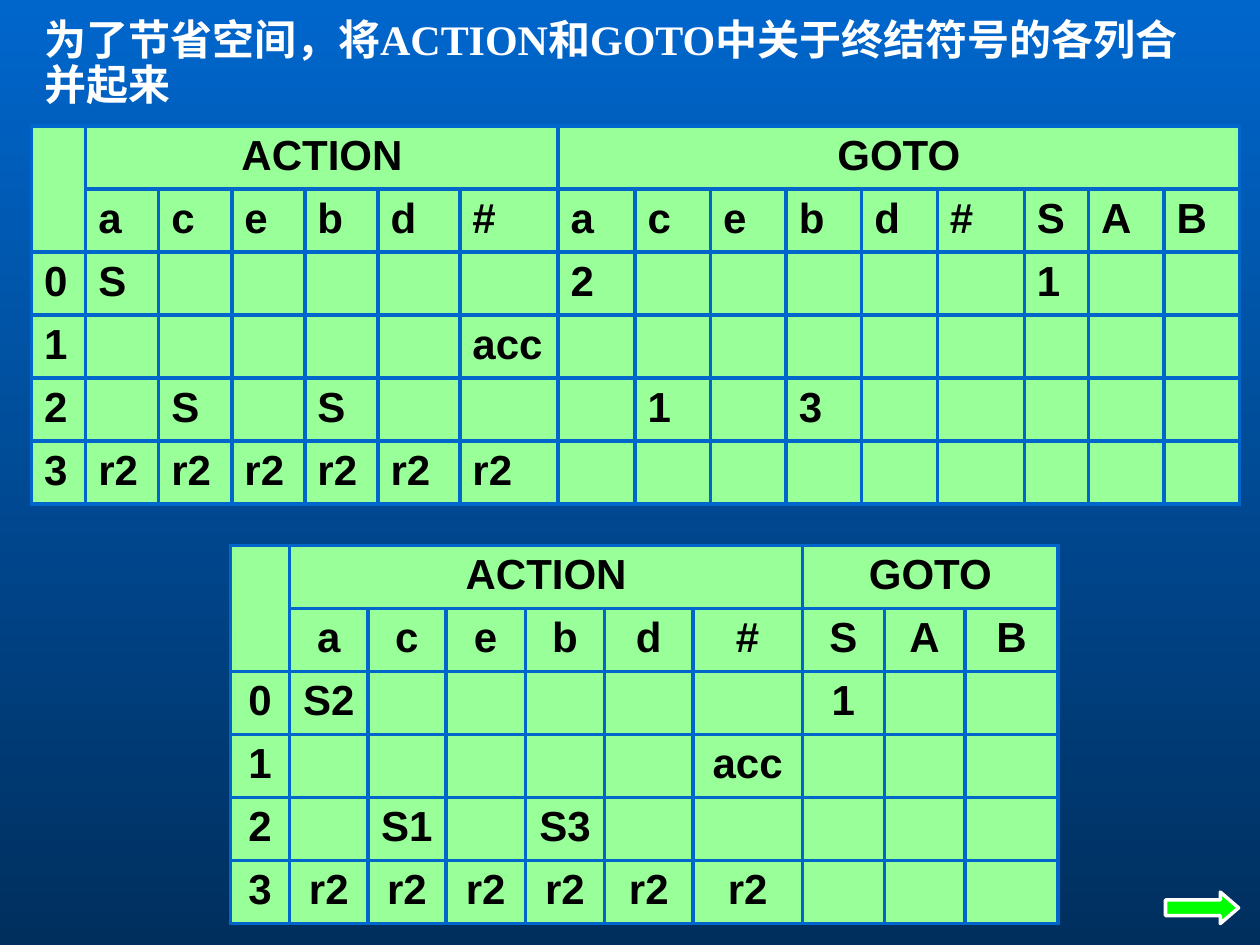
from dataclasses import dataclass

from lxml import etree
from pptx import Presentation
from pptx.dml.color import RGBColor
from pptx.enum.shapes import MSO_SHAPE
from pptx.enum.text import MSO_ANCHOR, MSO_AUTO_SIZE, PP_ALIGN
from pptx.oxml.ns import qn
from pptx.util import Inches, Pt

LEFT, CENTER = PP_ALIGN.LEFT, PP_ALIGN.CENTER
TOP = MSO_ANCHOR.TOP
NO_AUTOFIT = MSO_AUTO_SIZE.NONE
RIGHT_ARROW = MSO_SHAPE.RIGHT_ARROW
TITLE_ONLY = 5


@dataclass(frozen=True)
class Theme:
    sky: str = "0066CC"
    deep: str = "002F5E"
    cell: str = "99FF99"
    border: str = "0066CC"
    ink: str = "000000"
    white: str = "FFFFFF"
    arrow: str = "00FF00"
    title_font: str = "Times New Roman"
    table_font: str = "Arial"
    text_size: int = 24
    border_width: float = 2.25
    arrow_width: float = 2


THEME = Theme()
ROW_HEIGHT = 0.5

TITLE = "为了节省空间，将ACTION和GOTO中关于终结符号的各列合并起来"

# Column widths in inches, and the rows below the group headings
SEPARATE_WIDTHS = [0.43] + [0.58] * 4 + [0.65, 0.78, 0.61] + [0.6] * 4 + [0.69, 0.51, 0.6, 0.6]
SEPARATE_ROWS = [
    ",a,c,e,b,d,#,a,c,e,b,d,#,S,A,B",
    "0,S,,,,,,2,,,,,,1,,",
    "1,,,,,,acc,,,,,,,,,",
    "2,,S,,S,,,,1,,3,,,,,",
    "3,r2,r2,r2,r2,r2,r2,,,,,,,,,",
]
MERGED_WIDTHS = [0.47, 0.62, 0.62, 0.63, 0.63, 0.7, 0.87, 0.65, 0.64, 0.74]
MERGED_ROWS = [
    ",a,c,e,b,d,#,S,A,B",
    "0,S2,,,,,,1,,",
    "1,,,,,,acc,,,",
    "2,,S1,,S3,,,,,",
    "3,r2,r2,r2,r2,r2,r2,,,",
]
ACTION_COLUMN, GOTO_COLUMN = 1, 7


def color(value):
    return RGBColor.from_string(value)


def write(frame, text, font, ink, align):
    para = frame.paragraphs[0]
    para.alignment = align
    span = para.add_run()
    span.text = text
    span.font.name = font
    span.font.size = Pt(THEME.text_size)
    span.font.bold = True
    span.font.color.rgb = color(ink)
    return para


def paint_background(page):
    fill = page.background.fill
    fill.gradient()
    fill.gradient_angle = 270
    for stop, value in zip(fill.gradient_stops, (THEME.sky, THEME.deep)):
        stop.color.rgb = color(value)


def add_title(page):
    box = page.shapes.title
    box.left, box.top = Inches(0.25), Inches(0.1)
    box.width, box.height = Inches(9.5), Inches(0.82)
    frame = box.text_frame
    frame.word_wrap = True
    frame.auto_size = NO_AUTOFIT
    frame.vertical_anchor = TOP
    para = write(frame, TITLE, THEME.title_font, THEME.white, LEFT)
    para.line_spacing = 0.9


def add_borders(cell):
    properties = cell._tc.get_or_add_tcPr()
    for index, side in enumerate(("a:lnL", "a:lnR", "a:lnT", "a:lnB")):
        line = etree.Element(qn(side), w=str(Pt(THEME.border_width)))
        fill = etree.SubElement(line, qn("a:solidFill"))
        etree.SubElement(fill, qn("a:srgbClr"), val=THEME.border)
        properties.insert(index, line)


def add_parse_table(page, left, top, widths, rows, align):
    row_count = len(rows) + 1
    table = page.shapes.add_table(
        row_count, len(widths), Inches(left), Inches(top),
        Inches(sum(widths)), Inches(ROW_HEIGHT * row_count)).table
    table.first_row = table.horz_banding = False
    for column, width in zip(table.columns, widths):
        column.width = Inches(width)
    for row in table.rows:
        row.height = Inches(ROW_HEIGHT)
    for cell in table.iter_cells():
        cell.fill.solid()
        cell.fill.fore_color.rgb = color(THEME.cell)
        add_borders(cell)

    # Group headings and the empty corner
    last = len(widths) - 1
    table.cell(0, 0).merge(table.cell(1, 0))
    for label, first, final in (("ACTION", ACTION_COLUMN, GOTO_COLUMN - 1),
                                ("GOTO", GOTO_COLUMN, last)):
        heading = table.cell(0, first)
        heading.merge(table.cell(0, final))
        write(heading.text_frame, label, THEME.table_font, THEME.ink, CENTER)

    # Symbols, states and entries
    for row_index, row in enumerate(rows, start=1):
        for column_index, text in enumerate(row.split(",")):
            if text:
                frame = table.cell(row_index, column_index).text_frame
                write(frame, text, THEME.table_font, THEME.ink, align)


def add_next_arrow(page):
    arrow = page.shapes.add_shape(
        RIGHT_ARROW, Inches(9.25), Inches(7.08), Inches(0.58), Inches(0.25))
    arrow.adjustments[0] = 0.5
    arrow.adjustments[1] = 0.58
    arrow.shadow.inherit = False
    arrow.fill.solid()
    arrow.fill.fore_color.rgb = color(THEME.arrow)
    arrow.line.color.rgb = color(THEME.white)
    arrow.line.width = Pt(THEME.arrow_width)


def main():
    deck = Presentation()
    deck.slide_width, deck.slide_height = Inches(10), Inches(7.5)
    page = deck.slides.add_slide(deck.slide_layouts[TITLE_ONLY])
    paint_background(page)
    add_title(page)
    add_parse_table(page, 0.25, 1, SEPARATE_WIDTHS, SEPARATE_ROWS, LEFT)
    add_parse_table(page, 1.83, 4.33, MERGED_WIDTHS, MERGED_ROWS, CENTER)
    add_next_arrow(page)
    deck.save("out.pptx")


if __name__ == "__main__":
    main()
